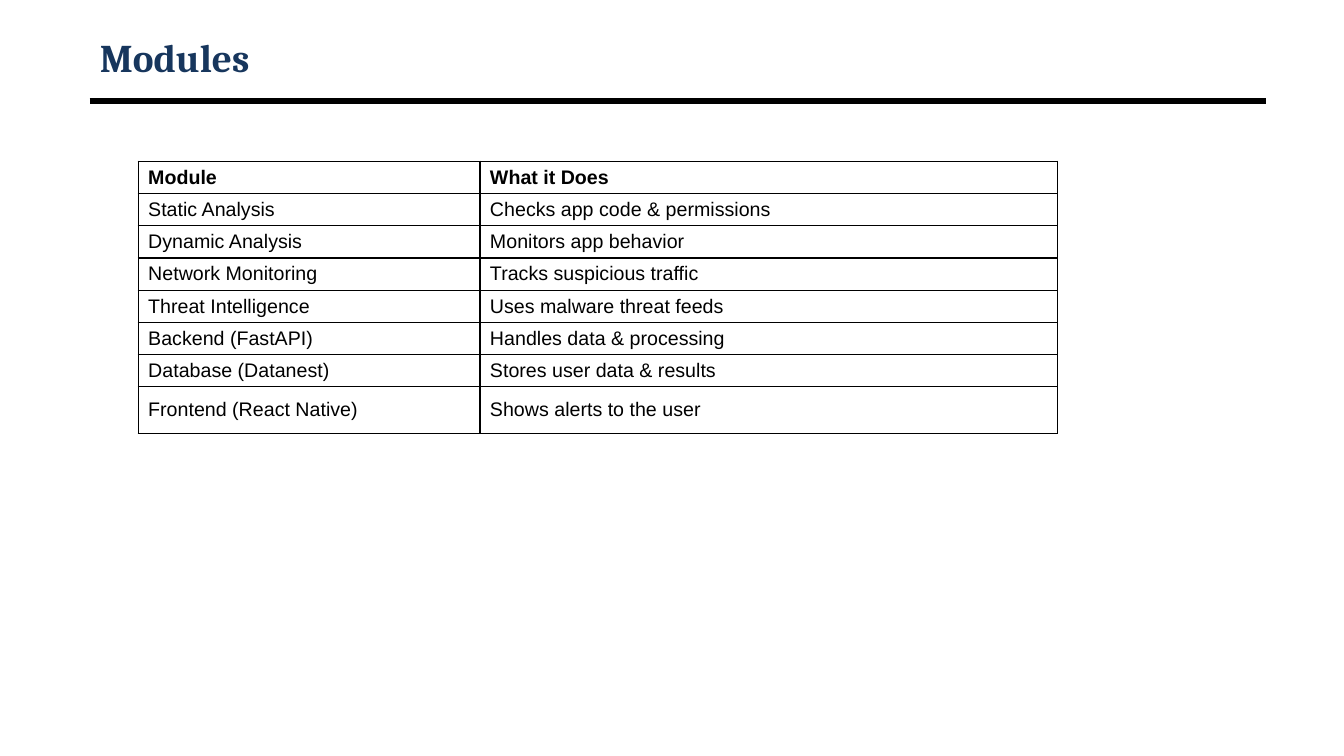
from lxml.etree import SubElement
from pptx import Presentation
from pptx.dml.color import RGBColor
from pptx.enum.shapes import MSO_CONNECTOR
from pptx.enum.text import MSO_ANCHOR, PP_ALIGN
from pptx.oxml.ns import qn
from pptx.util import Inches, Pt

TITLE = "Modules"
ROWS = [
    ("Module", "What it Does"),
    ("Static Analysis", "Checks app code & permissions"),
    ("Dynamic Analysis", "Monitors app behavior"),
    ("Network Monitoring", "Tracks suspicious traffic"),
    ("Threat Intelligence", "Uses malware threat feeds"),
    ("Backend (FastAPI)", "Handles data & processing"),
    ("Database (Datanest)", "Stores user data & results"),
    ("Frontend (React Native)", "Shows alerts to the user"),
]
COLORS = {"title": "17365D", "ink": "000000"}
WIDTHS = [3.39, 5.73]
HEIGHTS = [0.32] * (len(ROWS) - 1) + [0.46]
LEFT, SPAN = 0.89, 11.67


def write(frame, text, font, size, color, bold):
    frame.vertical_anchor = MSO_ANCHOR.MIDDLE
    para = frame.paragraphs[0]
    para.alignment = PP_ALIGN.LEFT
    run = para.add_run()
    run.text = text
    run.font.name = font
    run.font.size = Pt(size)
    run.font.bold = bold
    run.font.color.rgb = RGBColor.from_string(COLORS[color])


def border(cell):
    props = cell._tc.get_or_add_tcPr()
    for spot, side in enumerate(("lnL", "lnR", "lnT", "lnB")):
        line = props.makeelement(qn("a:" + side), {"w": str(Pt(1))})
        props.insert(spot, line)
        fill = SubElement(line, qn("a:solidFill"))
        SubElement(fill, qn("a:srgbClr"), val=COLORS["ink"])


def add_title(slide):
    title = slide.shapes.title
    title.left, title.top = Inches(LEFT), Inches(0.3)
    title.width, title.height = Inches(SPAN), Inches(0.53)
    write(title.text_frame, TITLE, "Cambria", 28, "title", True)


def add_rule(slide):
    rule = slide.shapes.add_connector(
        MSO_CONNECTOR.STRAIGHT, Inches(LEFT), Inches(1), Inches(LEFT + SPAN), Inches(1))
    rule.line.width = Pt(4.5)
    rule.line.color.rgb = RGBColor.from_string(COLORS["ink"])
    SubElement(rule._element.spPr, qn("a:effectLst"))


def add_modules(slide):
    table = slide.shapes.add_table(
        len(ROWS), len(WIDTHS), Inches(1.37), Inches(1.6),
        Inches(sum(WIDTHS)), Inches(sum(HEIGHTS))).table
    table.horz_banding = False
    for col, width in zip(table.columns, WIDTHS):
        col.width = Inches(width)
    for r, (texts, height) in enumerate(zip(ROWS, HEIGHTS)):
        table.rows[r].height = Inches(height)
        for c, text in enumerate(texts):
            cell = table.cell(r, c)
            cell.fill.background()
            cell.margin_top = cell.margin_bottom = Inches(0.04)
            cell.vertical_anchor = MSO_ANCHOR.MIDDLE
            write(cell.text_frame, text, "Arial", 14, "ink", r == 0)
            border(cell)


def main():
    deck = Presentation()
    deck.slide_width, deck.slide_height = Inches(13.33), Inches(7.5)
    slide = deck.slides.add_slide(deck.slide_layouts[5])
    add_rule(slide)
    add_title(slide)
    add_modules(slide)
    deck.save("out.pptx")


if __name__ == "__main__":
    main()
